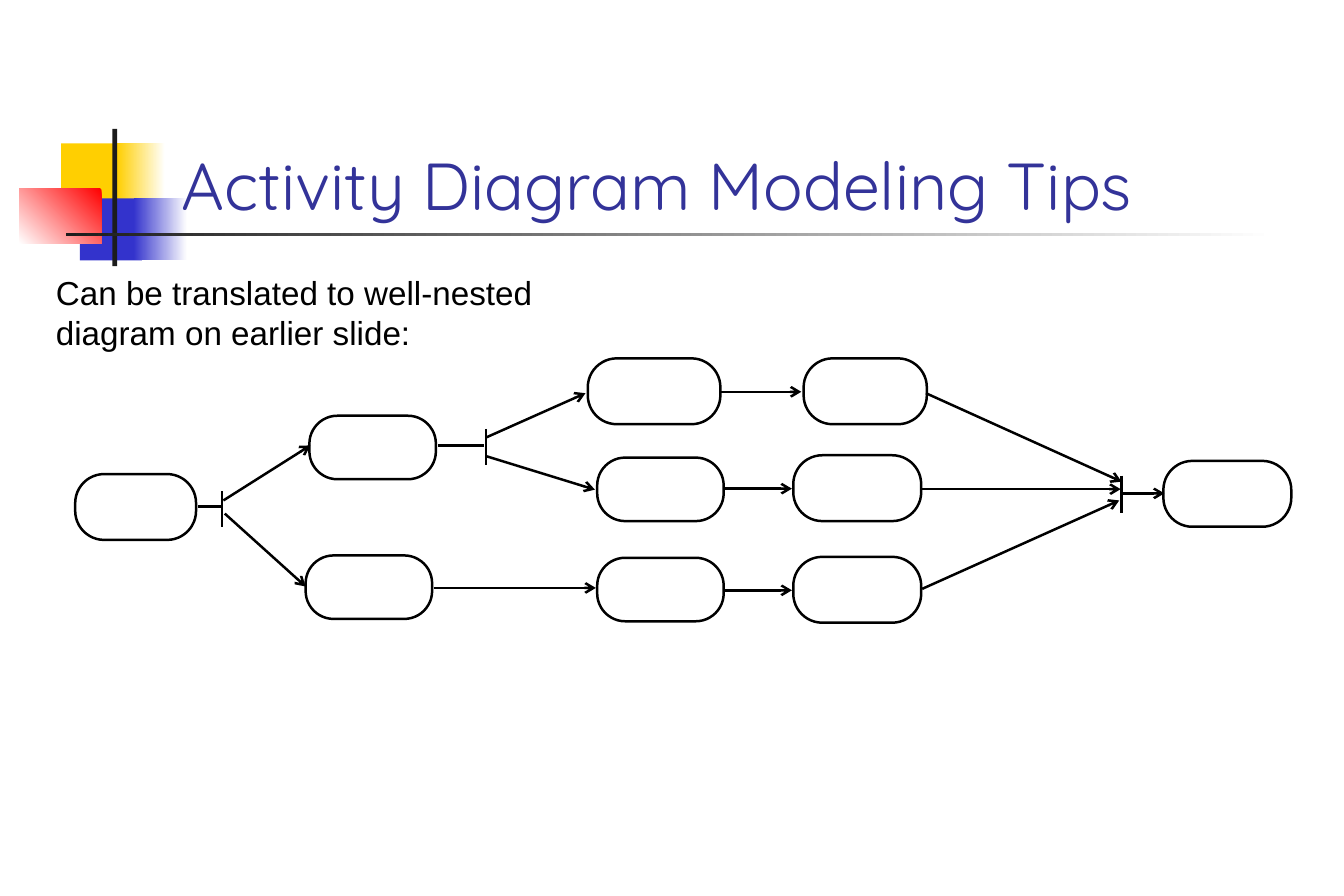
from lxml import etree
from pptx import Presentation
from pptx.dml.color import RGBColor
from pptx.enum.shapes import MSO_CONNECTOR, MSO_SHAPE
from pptx.enum.text import MSO_ANCHOR, MSO_AUTO_SIZE, PP_ALIGN
from pptx.oxml.ns import qn
from pptx.util import Cm, Pt

BLACK = RGBColor(0x00, 0x00, 0x00)
WHITE = RGBColor(0xFF, 0xFF, 0xFF)
YELLOW = RGBColor(0xFF, 0xCF, 0x01)
BLUE = RGBColor(0x33, 0x33, 0xCC)
RED = RGBColor(0xFF, 0x00, 0x00)
CHARCOAL = RGBColor(0x1C, 0x1C, 0x1C)
NAVY = RGBColor(0x33, 0x33, 0x99)

# Content; all lengths in centimetres
TITLE = "Activity Diagram Modeling Tips"
CAPTION = ["Can be translated to well-nested", "diagram on earlier slide:"]

# left, top, width, height, colour, angle of the fade to white (None: solid)
ORNAMENTS = [
    (1.3, 3.05, 1.37, 1.32, YELLOW, None),
    (2.49, 3.05, 1.02, 1.32, YELLOW, 0),
    (1.7, 4.22, 1.32, 1.32, BLUE, None),
    (2.84, 4.22, 1.14, 1.32, BLUE, 0),
    (0.41, 4.01, 1.75, 1.17, RED, 225),
    (2.39, 2.74, 0.1, 2.92, CHARCOAL, None),
    (1.4, 4.95, 25.7, 0.08, CHARCOAL, 0),
]

# left, top, width, height
ACTIVITIES = [
    (1.6, 10.08, 2.57, 1.4),
    (6.58, 8.84, 2.69, 1.35),
    (6.5, 11.81, 2.69, 1.35),
    (12.5, 7.62, 2.82, 1.4),
    (12.7, 9.73, 2.69, 1.35),
    (12.7, 11.86, 2.69, 1.35),
    (17.09, 7.62, 2.62, 1.4),
    (16.87, 9.68, 2.72, 1.4),
    (16.87, 11.84, 2.72, 1.4),
    (24.74, 9.8, 2.72, 1.4),
]

# start x, start y, end x, end y
FLOWS = [
    (4.75, 10.64, 6.6, 9.47),
    (4.78, 10.92, 6.5, 12.47),
    (10.34, 9.3, 12.45, 8.36),
    (10.34, 9.7, 12.65, 10.41),
    (9.22, 12.5, 12.67, 12.5),
    (15.34, 8.33, 17.04, 8.33),
    (15.42, 10.39, 16.84, 10.39),
    (15.42, 12.55, 16.84, 12.55),
    (19.69, 8.36, 23.85, 10.24),
    (19.61, 10.4, 23.83, 10.4),
    (19.61, 12.52, 23.8, 10.64),
    (23.83, 10.49, 24.76, 10.49),
]
STEMS = [(4.22, 10.77, 4.7, 10.77), (9.32, 9.47, 10.29, 9.47)]
SYNC_BARS = [
    (4.72, 10.44, 4.72, 11.2),
    (10.34, 9.12, 10.34, 9.88),
    (23.85, 10.11, 23.85, 10.9),
]


def add_ornament(page, left, top, width, height, colour, angle):
    box = page.shapes.add_shape(
        MSO_SHAPE.RECTANGLE, Cm(left), Cm(top), Cm(width), Cm(height))
    box.shadow.inherit = False
    box.line.fill.background()
    if angle is None:
        box.fill.solid()
        box.fill.fore_color.rgb = colour
    else:
        box.fill.gradient()
        box.fill.gradient_angle = angle
        for stop, shade in zip(box.fill.gradient_stops, (colour, WHITE)):
            stop.color.rgb = shade


def add_activity(page, left, top, width, height):
    box = page.shapes.add_shape(
        MSO_SHAPE.ROUNDED_RECTANGLE, Cm(left), Cm(top), Cm(width), Cm(height))
    box.adjustments[0] = 0.44
    box.shadow.inherit = False
    box.fill.background()
    box.line.color.rgb = BLACK
    box.line.width = Pt(1.5)


def add_line(page, points, arrow):
    line = page.shapes.add_connector(
        MSO_CONNECTOR.STRAIGHT, *[Cm(value) for value in points])
    line.line.color.rgb = BLACK
    line.line.width = Pt(1.5)
    if arrow:
        etree.SubElement(line.line._get_or_add_ln(), qn("a:tailEnd"), type="arrow")
    etree.SubElement(line._element.spPr, qn("a:effectLst"))


def add_span(para, text, font_name, size, colour):
    para.alignment = PP_ALIGN.LEFT
    span = para.add_run()
    span.text = text
    span.font.name = font_name
    span.font.size = Pt(size)
    span.font.color.rgb = colour


def main():
    deck = Presentation()
    deck.slide_width, deck.slide_height = Cm(28.58), Cm(19.05)
    page = deck.slides.add_slide(deck.slide_layouts[5])

    # Ornament beside the title
    for ornament in ORNAMENTS:
        add_ornament(page, *ornament)

    # Title, in front of the ornament
    title = page.shapes.title
    title.left, title.top, title.width, title.height = (
        Cm(3.61), Cm(1.7), Cm(24.36), Cm(3.18))
    title.text_frame.vertical_anchor = MSO_ANCHOR.BOTTOM
    title.text_frame.auto_size = MSO_AUTO_SIZE.NONE
    add_span(title.text_frame.paragraphs[0], TITLE, "Quicksand", 40, NAVY)
    page.shapes._spTree.append(title._element)

    # Activity diagram
    for activity in ACTIVITIES:
        add_activity(page, *activity)
    for points in FLOWS:
        add_line(page, points, arrow=True)
    for points in STEMS + SYNC_BARS:
        add_line(page, points, arrow=False)

    # Caption
    box = page.shapes.add_textbox(Cm(0.94), Cm(5.66), Cm(10.64), Cm(1.96))
    frame = box.text_frame
    frame.word_wrap = False
    for index, text in enumerate(CAPTION):
        para = frame.add_paragraph() if index else frame.paragraphs[0]
        add_span(para, text, "Arial", 20, BLACK)

    deck.save("out.pptx")


if __name__ == "__main__":
    main()
